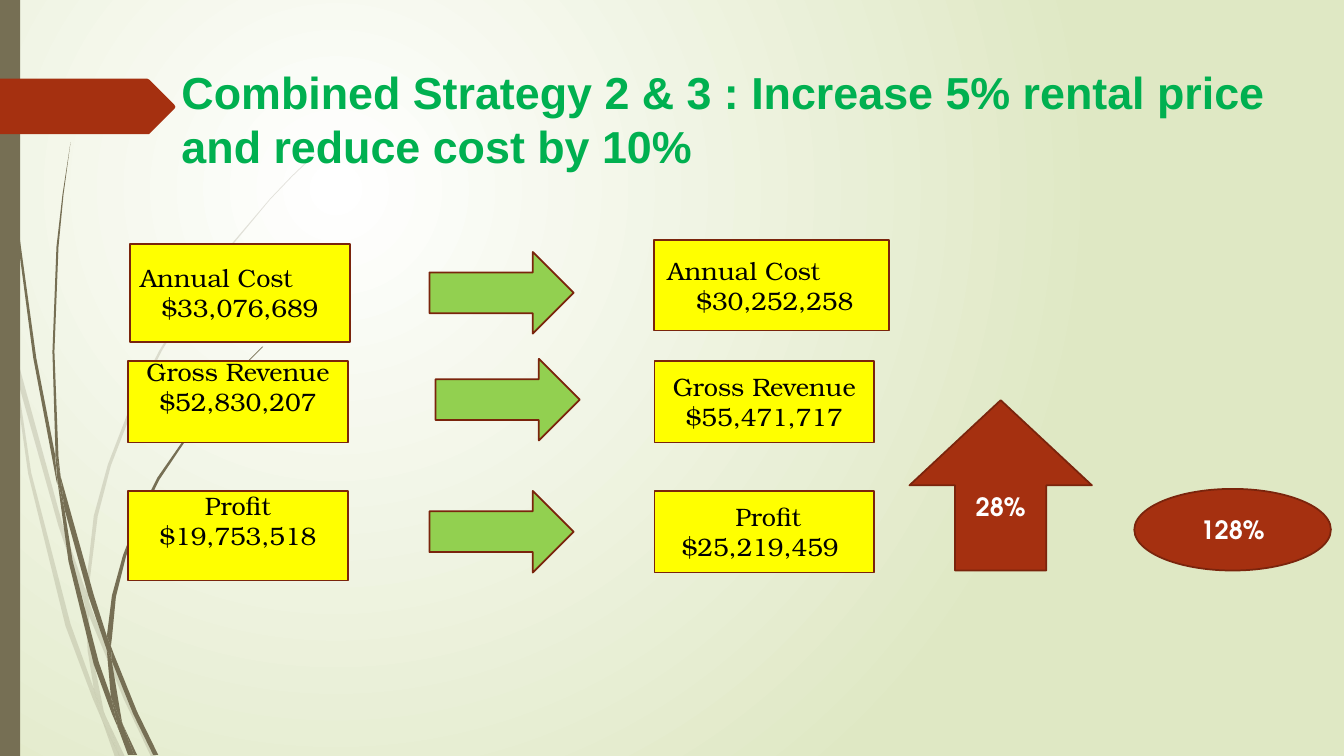
import dataclasses

import pptx
import pptx.dml.color
import pptx.enum.shapes
import pptx.enum.text
import pptx.oxml
import pptx.oxml.ns
import pptx.util

Inches = pptx.util.Inches
Shapes = pptx.enum.shapes.MSO_SHAPE
Align = pptx.enum.text.PP_ALIGN
Anchor = pptx.enum.text.MSO_ANCHOR


@dataclasses.dataclass(frozen=True)
class Theme:
    olive: str = "766F54"
    pale: str = "DFE8C4"
    white: str = "FFFFFF"
    black: str = "000000"
    red: str = "A53010"
    outline: str = "7A240C"
    yellow: str = "FFFF00"
    lime: str = "92D050"
    green: str = "00B050"
    title_font: str = "Arial"
    card_font: str = "TeX Gyre Bonum"
    badge_font: str = "TeX Gyre Adventor"
    title_size: int = 32
    body_size: int = 18
    line: float = 1.25


THEME = Theme()

TITLE = "Combined Strategy 2 & 3 : Increase 5% rental price and reduce cost by 10%"

CARDS = [
    ("Annual Cost", "$33,076,689", (1.29, 2.42, 2.18, 0.97), Align.LEFT, 0.05, 0),
    ("Annual Cost", "$30,252,258", (6.49, 2.38, 2.33, 0.9), Align.LEFT, 0.05, 0.03),
    ("Gross Revenue", "$52,830,207", (1.27, 3.58, 2.18, 0.81), Align.CENTER, 0.3, 0),
    ("Gross Revenue", "$55,471,717", (6.49, 3.58, 2.18, 0.81), Align.CENTER, 0.05, 0),
    ("Profit", "$19,753,518", (1.27, 4.87, 2.18, 0.89), Align.CENTER, 0.3, 0),
    (" Profit", "$25,219,459 ", (6.49, 4.87, 2.18, 0.81), Align.CENTER, 0.05, 0),
]
ARROWS = [(4.26, 2.5), (4.32, 3.56), (4.26, 4.87)]
ARROW_SIZE = (1.43, 0.81)
BADGES = [
    ("28%", Shapes.UP_ARROW, (9.02, 3.97, 1.81, 1.69)),
    ("128%", Shapes.OVAL, (11.25, 4.85, 1.95, 0.81)),
]

PALE_BLADES = [
    [(0.11, 3.5), (0.09, 3.22), (0, 2.82), (0, 2.99), (0.1, 3.44)],
    [(0.58, 5.22), (0.84, 5.99), (0.85, 5.86), (0.62, 5.2), (0.14, 3.45), (0.17, 3.76)],
    [(0.92, 6.07), (0.88, 5.96), (0.88, 6.1), (1.23, 6.94), (1.5, 7.51), (1.55, 7.51),
     (1.27, 6.92)],
    [(1.19, 7.51), (1.24, 7.51), (1.05, 7.11)],
    [(0.93, 6.83), (0.7, 6.19), (0.31, 4.69), (0.17, 3.76), (0.11, 3.5), (0.28, 4.7),
     (0.65, 6.21), (0.92, 6.93), (1.01, 7.14), (0.99, 7.07)],
    [(0.84, 5.99), (0.87, 6.46), (0.93, 6.83), (0.96, 6.92), (1.05, 7.11), (1.03, 7.06),
     (0.91, 6.46), (0.88, 6.1), (0.88, 6.08)],
    [(0.88, 5.84), (0.97, 5.12), (1.1, 4.62), (1.32, 4.05), (1.6, 3.49), (1.92, 2.95),
     (2.29, 2.45), (2.68, 1.98), (2.9, 1.75), (3.12, 1.54), (3.12, 1.53), (2.89, 1.75),
     (2.68, 1.97), (2.28, 2.44), (1.91, 2.94), (1.58, 3.48), (1.29, 4.04), (1.07, 4.61),
     (0.93, 5.12), (0.85, 5.84), (0.85, 5.86), (0.88, 5.96)],
    [(1.01, 7.14), (1.14, 7.51), (1.19, 7.51)],
    [(0.88, 6.08), (0.88, 6.1), (0.88, 5.96), (0.85, 5.86), (0.84, 5.99)],
    [(0.96, 6.92), (0.93, 6.83), (0.99, 7.07), (1.01, 7.14), (1.19, 7.51), (1.05, 7.11)],
]
DARK_BLADES = [
    [(0.07, 1.1), (0.17, 2.33), (0.33, 3.55), (0.56, 4.77), (0.57, 4.81), (0.55, 4.57),
     (0.55, 4.53), (0.36, 3.55), (0.19, 2.32), (0.08, 1.09), (0.05, 0.48), (0.04, 0),
     (0.03, 0), (0.04, 0.48)],
    [(0.88, 5.92), (1.06, 6.45), (1.06, 6.33), (1.06, 6.31), (0.93, 5.9), (0.6, 4.72),
     (0.64, 5.05)],
    [(1.13, 6.49), (1.1, 6.41), (1.11, 6.56), (1.32, 7.08), (1.52, 7.49), (1.57, 7.49),
     (1.36, 7.06)],
    [(1.1, 6.91), (0.98, 6.57), (0.72, 5.56), (0.64, 5.05), (0.57, 4.77), (0.68, 5.57),
     (0.93, 6.59), (1.11, 7.08), (1.17, 7.22), (1.16, 7.17)],
    [(0.6, 4.72), (0.58, 4.53), (0.54, 3.49), (0.58, 2.45), (0.63, 1.93), (0.7, 1.41),
     (0.62, 1.93), (0.56, 2.45), (0.52, 3.49), (0.55, 4.49)],
    [(1.33, 7.49), (1.36, 7.49), (1.22, 7.19)],
    [(0.57, 4.77), (0.64, 5.05), (0.6, 4.72), (0.55, 4.49), (0.55, 4.53)],
    [(1.11, 6.33), (1.15, 5.92), (1.25, 5.52), (1.4, 5.13), (1.58, 4.76), (2.05, 4.06),
     (2.31, 3.74), (2.61, 3.44), (2.6, 3.44), (2.31, 3.73), (2.04, 4.05), (1.56, 4.74),
     (1.37, 5.12), (1.22, 5.51), (1.11, 5.91), (1.06, 6.31), (1.1, 6.41)],
    [(1.17, 7.22), (1.27, 7.49), (1.31, 7.49)],
    [(1.06, 6.45), (1.1, 6.91), (1.16, 7.06), (1.22, 7.19), (1.21, 7.16), (1.11, 6.56),
     (1.09, 6.51)],
    [(1.06, 6.45), (1.09, 6.51), (1.11, 6.56), (1.1, 6.41), (1.06, 6.31)],
    [(1.16, 7.06), (1.1, 6.91), (1.16, 7.17), (1.17, 7.22), (1.3, 7.49), (1.33, 7.49),
     (1.22, 7.19)],
]
TAG = [(0, 0.78), (1.46, 0.78), (1.48, 0.79), (1.73, 1.04), (1.74, 1.06), (1.73, 1.08),
       (1.48, 1.33), (1.46, 1.33), (0, 1.33)]


def rgb(code):
    return pptx.dml.color.RGBColor.from_string(code)


def paint(shape, fill, line=None, alpha=None):
    shape.shadow.inherit = False
    shape.fill.solid()
    shape.fill.fore_color.rgb = rgb(fill)
    if alpha:
        color = shape.element.spPr.find(".//" + pptx.oxml.ns.qn("a:srgbClr"))
        color.append(pptx.oxml.parse_xml(
            f'<a:alpha {pptx.oxml.ns.nsdecls("a")} val="{alpha * 1000}"/>'))
    if line:
        shape.line.color.rgb = rgb(line)
        shape.line.width = pptx.util.Pt(THEME.line)
    else:
        shape.line.fill.background()


def add_outline(page, points, fill, alpha=None):
    start, *rest = [(Inches(x), Inches(y)) for x, y in points]
    builder = page.shapes.build_freeform(*start, scale=1.0)
    builder.add_line_segments(rest, close=True)
    paint(builder.convert_to_shape(), fill, alpha=alpha)


def add_preset(page, kind, place, fill, line=THEME.outline):
    shape = page.shapes.add_shape(kind, *map(Inches, place))
    paint(shape, fill, line)
    return shape


def write(box, lines, font, size, color, bold=False, aligns=(Align.CENTER,), bottom=0.05,
          shift=0):
    frame = box.text_frame
    frame.word_wrap = True
    frame.vertical_anchor = Anchor.MIDDLE
    frame.margin_left, frame.margin_right = Inches(0.1 + shift), Inches(0.1 - shift)
    frame.margin_top = Inches(0.05 if bottom == 0.05 else 0)
    frame.margin_bottom = Inches(bottom)
    for index, (text, align) in enumerate(zip(lines, aligns)):
        para = frame.paragraphs[0] if index == 0 else frame.add_paragraph()
        para.alignment = align
        span = para.add_run()
        span.text = text
        span.font.name = font
        span.font.size = pptx.util.Pt(size)
        span.font.bold = bold
        span.font.color.rgb = rgb(color)


def set_background(page):
    fill = page.background.fill
    fill.gradient()
    for stop, color in zip(fill.gradient_stops, (THEME.white, THEME.pale)):
        stop.color.rgb = rgb(color)
    linear = page.element.find(".//" + pptx.oxml.ns.qn("a:lin"))
    linear.getparent().replace(linear, pptx.oxml.parse_xml(
        f'<a:path {pptx.oxml.ns.nsdecls("a")} path="circle">'
        '<a:fillToRect l="50000" t="50000" r="100000" b="100000"/></a:path>'))


deck = pptx.Presentation()
deck.slide_width, deck.slide_height = Inches(13.33), Inches(7.5)
page = deck.slides.add_slide(deck.slide_layouts[5])
set_background(page)

for blades, alpha in ((PALE_BLADES, 20), (DARK_BLADES, None)):
    for blade in blades:
        add_outline(page, blade, THEME.olive, alpha)
add_preset(page, Shapes.RECTANGLE, (0, 0, 0.2, 7.5), THEME.olive, line=None)
add_outline(page, TAG, THEME.red)

title = page.shapes.title
title.left, title.top, title.width, title.height = map(Inches, (1.7, 0.59, 11.42, 1.18))
write(title, [TITLE], THEME.title_font, THEME.title_size, THEME.green, bold=True,
      aligns=[Align.LEFT])
title.element.getparent().append(title.element)

for label, amount, place, align, bottom, shift in CARDS:
    card = add_preset(page, Shapes.RECTANGLE, place, THEME.yellow)
    write(card, [label, amount], THEME.card_font, THEME.body_size, THEME.black,
          aligns=[align, Align.CENTER], bottom=bottom, shift=shift)
for corner in ARROWS:
    add_preset(page, Shapes.RIGHT_ARROW, corner + ARROW_SIZE, THEME.lime)
for text, kind, place in BADGES:
    badge = add_preset(page, kind, place, THEME.red)
    write(badge, [text], THEME.badge_font, THEME.body_size, THEME.white, bold=True)

deck.save("out.pptx")
